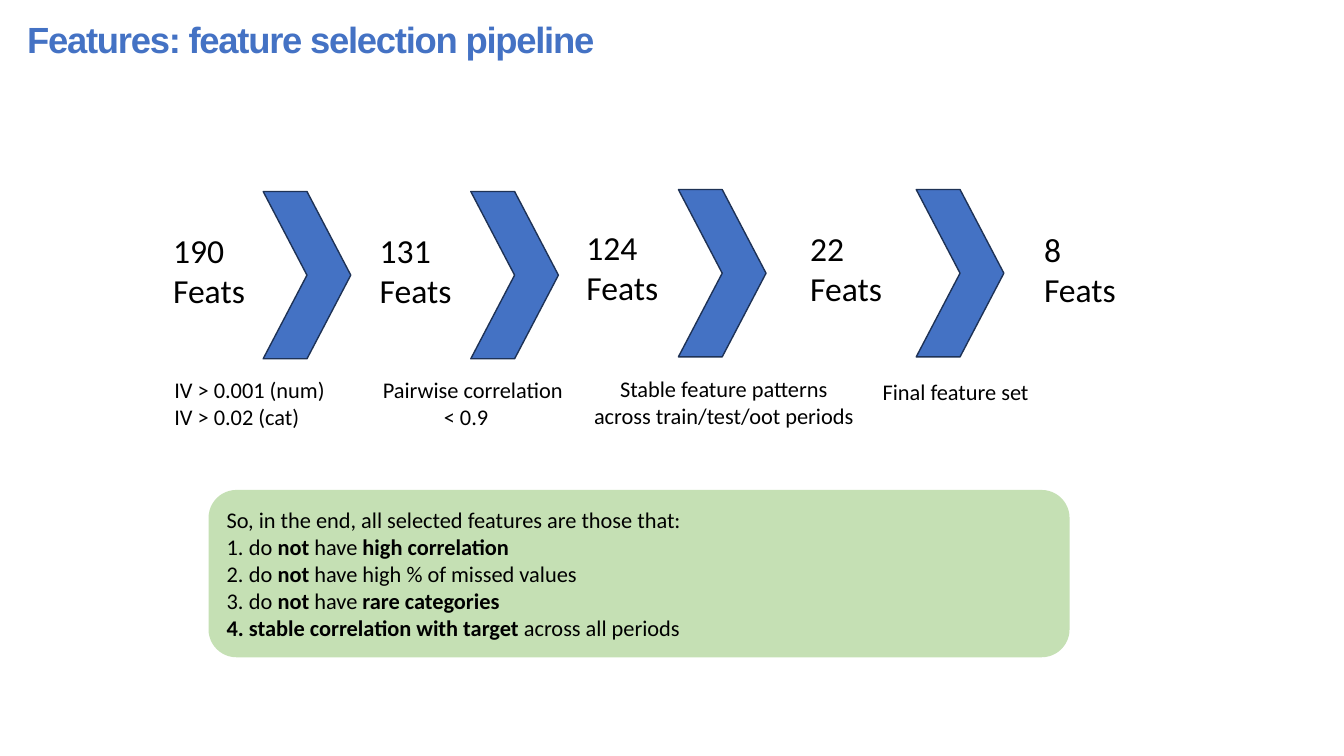
from lxml import etree
from pptx import Presentation
from pptx.dml.color import RGBColor
from pptx.enum import shapes, text
from pptx.oxml.ns import qn
from pptx.util import Pt

BLUE, NAVY, GREEN, BLACK = "4472C4", "1E3256", "C5E0B4", "000000"
LEFT, CENTER = text.PP_ALIGN.LEFT, text.PP_ALIGN.CENTER

# Feature count, its left and top; chevron left and top
STAGES = [
    ("190", 116.6, 160.5, 188, 136.8),
    ("131", 264.2, 160.5, 336.3, 136.8),
    ("124", 411.8, 158.4, 484.6, 135.4),
    ("22", 571.7, 159.1, 654.5, 135.4),
    ("8", 738.7, 159.8, None, None),
]
# Caption lines, left, top, width, alignment, indent of the last line
CRITERIA = [
    (["IV > 0.001 (num)", "IV > 0.02 (cat)"], 117.4, 265, 123, LEFT, 0),
    (["Pairwise correlation", "< 0.9"], 266.4, 265, 152.6, LEFT, 43.5),
    (["Stable feature patterns across train/test/oot periods"],
     414, 264.3, 206, CENTER, 0),
    (["Final feature set"], 579.6, 266.4, 206, CENTER, 0),
]
# Each conclusion is a list of (words, bold)
CONCLUSIONS = [
    [("do ", False), ("not", True), (" have ", False), ("high correlation", True)],
    [("do ", False), ("not", True), (" have high % of missed values", False)],
    [("do ", False), ("not", True), (" have ", False), ("rare categories", True)],
    [("stable correlation with target", True), (" across all periods", False)],
]


def color(value):
    return RGBColor.from_string(value)


def style(paragraph, size, name="Calibri", ink=BLACK):
    font = paragraph.font
    font.size, font.name = Pt(size), name
    font.color.rgb = color(ink)


def add_panel(slide, kind, left, top, width, height, fill):
    panel = slide.shapes.add_shape(kind, Pt(left), Pt(top), Pt(width), Pt(height))
    panel.shadow.inherit = False
    panel.fill.solid()
    panel.fill.fore_color.rgb = color(fill)
    return panel


def add_label(slide, lines, left, top, width, height, size, align=LEFT):
    label = slide.shapes.add_textbox(Pt(left), Pt(top), Pt(width), Pt(height))
    frame = label.text_frame
    frame.word_wrap = True
    frame.text = "\n".join(lines)
    for paragraph in frame.paragraphs:
        paragraph.alignment = align
        style(paragraph, size)
    return frame


def add_title(slide, left, top, width, height):
    title = slide.shapes.title
    title.left, title.top = Pt(left), Pt(top)
    title.width, title.height = Pt(width), Pt(height)
    frame = title.text_frame
    frame.text = "Features: feature selection pipeline"
    frame.auto_size = text.MSO_AUTO_SIZE.NONE
    frame.vertical_anchor = text.MSO_ANCHOR.TOP
    heading = frame.paragraphs[0]
    heading.alignment = LEFT
    style(heading, 26, "Arial", BLUE)
    heading.font.bold = True
    heading.runs[0]._r.get_or_add_rPr().set("spc", "-90")


def add_stage(slide, count, left, top, chevron_left, chevron_top):
    add_label(slide, [count, "Feats"], left, top, 95.8, 65.4, 24)
    if chevron_left is not None:
        chevron = add_panel(slide, shapes.MSO_SHAPE.CHEVRON,
                            chevron_left, chevron_top, 62.6, 119.5, BLUE)
        chevron.line.color.rgb = color(NAVY)
        chevron.line.width = Pt(1)


def add_criterion(slide, lines, left, top, width, align, indent):
    frame = add_label(slide, lines, left, top, width, 46, 16, align)
    if indent:
        frame.paragraphs[-1]._p.get_or_add_pPr().set("marL", str(Pt(indent)))


def add_conclusions(slide, left, top, width, height):
    panel = add_panel(slide, shapes.MSO_SHAPE.ROUNDED_RECTANGLE,
                      left, top, width, height, GREEN)
    panel.line.fill.background()
    frame = panel.text_frame
    frame.word_wrap = True
    frame.vertical_anchor = text.MSO_ANCHOR.MIDDLE
    intro = frame.paragraphs[0]
    intro.text = "So, in the end, all selected features are those that:"
    for conclusion in CONCLUSIONS:
        item = frame.add_paragraph()
        props = item._p.get_or_add_pPr()
        props.set("marL", str(Pt(16)))
        props.set("indent", str(-Pt(16)))
        etree.SubElement(props, qn("a:buFont"), typeface="+mj-lt")
        etree.SubElement(props, qn("a:buAutoNum"), type="arabicPeriod")
        for words, bold in conclusion:
            run = item.add_run()
            run.text = words
            run.font.bold = bold
    for paragraph in frame.paragraphs:
        paragraph.alignment = LEFT
        style(paragraph, 16)


def main():
    deck = Presentation()
    deck.slide_width, deck.slide_height = Pt(960), Pt(540)
    slide = deck.slides.add_slide(deck.slide_layouts[5])
    # Heading
    add_title(slide, 12.2, 8.6, 914.4, 38.9)
    # Pipeline of feature counts
    for stage in STAGES:
        add_stage(slide, *stage)
    # Selection criteria under the chevrons
    for criterion in CRITERIA:
        add_criterion(slide, *criterion)
    # Summary box
    add_conclusions(slide, 149, 350, 615, 119.5)
    deck.save("out.pptx")


if __name__ == "__main__":
    main()
